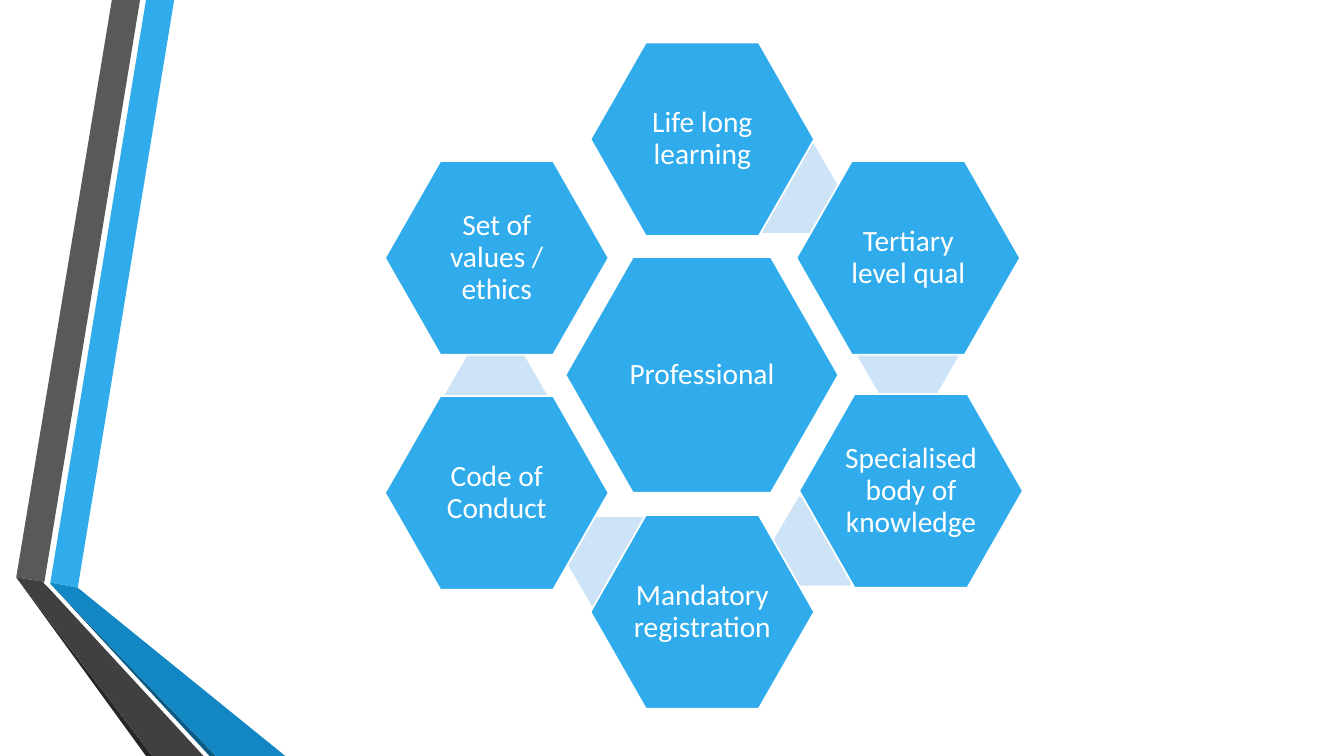
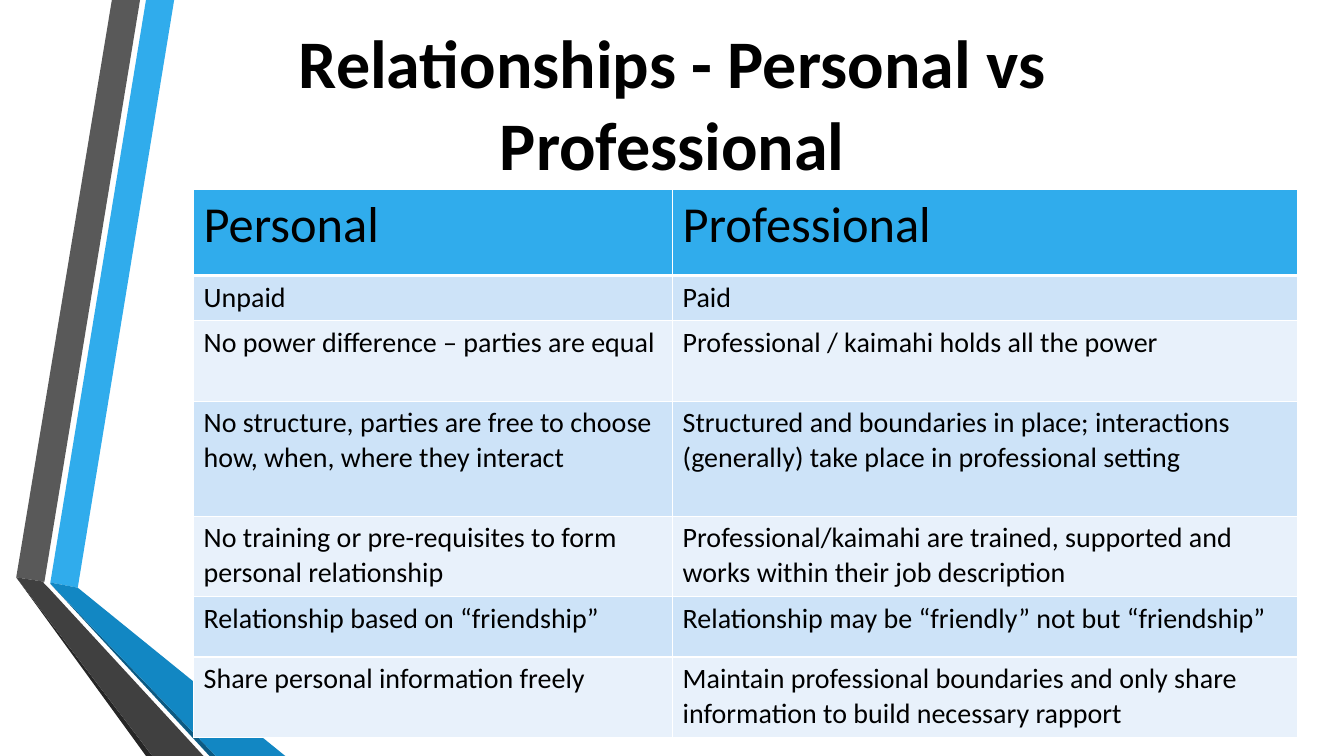
from dataclasses import dataclass

from lxml import etree
from pptx import Presentation
from pptx import util as u
from pptx.dml.color import RGBColor
from pptx.enum import shapes, text
from pptx.oxml import ns


@dataclass(frozen=True)
class Theme:
    """Colours, font and type sizes of the deck."""

    font: str = "Calibri"
    blue: str = "30ACEC"
    blue_dark: str = "1287C3"
    blue_deep: str = "0C5A82"
    grey: str = "595959"
    grey_dark: str = "404040"
    grey_deep: str = "262626"
    pale: str = "CDE3F8"
    paler: str = "E8F1FB"
    white: str = "FFFFFF"
    black: str = "000000"
    title_size: float = 48.6
    header_size: float = 36
    hexagon_size: float = 21
    cell_size: float = 20


THEME = Theme()

RIBBONS = (
    (THEME.blue, ((1.27, 14.68), (1.96, 14.81), (4.39, 0), (3.68, 0))),
    (THEME.grey, ((3.53, 0), (2.82, 0), (0.41, 14.55), (1.12, 14.66))),
    (THEME.grey_deep, ((0.41, 14.55), (3.68, 19.05), (3.84, 19.05))),
    (THEME.blue_deep, ((1.27, 14.71), (5.28, 19.05), (5.44, 19.05))),
    (THEME.blue_dark, ((1.27, 14.71), (5.44, 19.05), (7.19, 19.05),
                       (1.96, 14.81), (1.27, 14.68))),
    (THEME.grey_dark, ((5.13, 19.05), (1.22, 14.81), (1.09, 14.68),
                       (1.12, 14.66), (0.41, 14.55), (3.84, 19.05))),
)

CORE_SIZE = (6.88, 5.94)
TRAIT_SIZE = (5.64, 4.88)
LINK_SIZE = (2.59, 2.24)

TRAITS = (
    ("Life long learning", (14.88, 1.07), (18.57, 3.63)),
    ("Tertiary level qual", (20.07, 4.06), (21.59, 7.82)),
    ("Specialised body of knowledge", (20.14, 9.93), (19.48, 12.52)),
    ("Mandatory registration", (14.88, 12.98), (14.27, 13.03)),
    ("Code of Conduct", (9.7, 9.98), (11.2, 8.84)),
    ("Set of values / ethics", (9.7, 4.06), None),
)

COLUMN_WIDTHS = (12.07, 15.75)
ROW_HEIGHTS = (2.16, 1.14, 2.03, 2.9, 2.03, 1.52, 2.03)

COMPARISON = (
    ("Personal", "Professional"),
    ("Unpaid", "Paid"),
    ("No power difference – parties are equal",
     "Professional / kaimahi holds all the power"),
    ("No structure, parties are free to choose how, when, where they interact",
     "Structured and boundaries in place; interactions (generally) take place "
     "in professional setting"),
    ("No training or pre-requisites to form personal relationship",
     "Professional/kaimahi are trained, supported and works within their job "
     "description"),
    ("Relationship based on “friendship”",
     "Relationship may be “friendly” not but “friendship”"),
    ("Share personal information freely",
     "Maintain professional boundaries and only share information to build "
     "necessary rapport"),
)


def paint(target, colour):
    """Give a shape or cell a solid fill."""
    target.fill.solid()
    target.fill.fore_color.rgb = RGBColor.from_string(colour)


def write(frame, words, size, colour, bold=False, align=None, spacing=None):
    """Write one paragraph of styled text into a frame."""
    frame.word_wrap = True
    para = frame.paragraphs[0]
    para.alignment = align
    para.line_spacing = spacing
    span = para.add_run()
    span.text = words
    span.font.name = THEME.font
    span.font.size = u.Pt(size)
    span.font.bold = bold
    span.font.color.rgb = RGBColor.from_string(colour)


def add_ribbons(page):
    """Draw the folded ribbons shared by every page."""
    for colour, corners in RIBBONS:
        points = [(u.Cm(x), u.Cm(y)) for x, y in corners]
        builder = page.shapes.build_freeform(*points[0])
        builder.add_line_segments(points[1:], close=True)
        ribbon = builder.convert_to_shape()
        ribbon.shadow.inherit = False
        paint(ribbon, colour)
        ribbon.line.fill.background()


def add_page(deck):
    """Add a blank page with its ribbons."""
    page = deck.slides.add_slide(deck.slide_layouts[6])
    add_ribbons(page)
    return page


def add_hexagon(page, place, size, colour, slant):
    """Draw a plain hexagon without an outline."""
    lengths = [u.Cm(value) for value in (*place, *size)]
    hexagon = page.shapes.add_shape(shapes.MSO_SHAPE.HEXAGON, *lengths)
    hexagon.adjustments[0] = slant
    hexagon.adjustments[1] = 1.155
    hexagon.shadow.inherit = False
    paint(hexagon, colour)
    hexagon.line.fill.background()
    return hexagon


def add_label_hexagon(page, words, place, size):
    """Draw a blue hexagon that holds centred words."""
    hexagon = add_hexagon(page, place, size, THEME.blue, 0.286)
    hexagon.line.color.rgb = RGBColor.from_string(THEME.white)
    hexagon.line.width = u.Pt(1.25)
    frame = hexagon.text_frame
    frame.margin_left = frame.margin_right = u.Cm(0.07)
    frame.margin_top = frame.margin_bottom = u.Cm(0.07)
    frame.vertical_anchor = text.MSO_ANCHOR.MIDDLE
    write(frame, words, THEME.hexagon_size, THEME.white,
          align=text.PP_ALIGN.CENTER, spacing=0.9)


def add_title(page, words):
    """Add the bold centred page title."""
    box = page.shapes.add_textbox(u.Cm(3.99), u.Cm(0.79), u.Cm(25.91), u.Cm(3.58))
    box.text_frame.vertical_anchor = text.MSO_ANCHOR.MIDDLE
    write(box.text_frame, words, THEME.title_size, THEME.black,
          bold=True, align=text.PP_ALIGN.CENTER)


def set_borders(cell, top, bottom):
    """Draw white cell borders with the given top and bottom widths."""
    properties = cell._tc.get_or_add_tcPr()
    for side, width in (("L", 1), ("R", 1), ("T", top), ("B", bottom)):
        edge = etree.SubElement(properties, ns.qn(f"a:ln{side}"), w=str(u.Pt(width)))
        fill = etree.SubElement(edge, ns.qn("a:solidFill"))
        etree.SubElement(fill, ns.qn("a:srgbClr"), val=THEME.white)


def add_comparison(page, rows):
    """Add the two-column table with a header and banded rows."""
    frame = page.shapes.add_table(
        len(rows), len(COLUMN_WIDTHS), u.Cm(4.88), u.Cm(4.78),
        u.Cm(sum(COLUMN_WIDTHS)), u.Cm(sum(ROW_HEIGHTS)))
    table = frame.table
    for column, width in zip(table.columns, COLUMN_WIDTHS):
        column.width = u.Cm(width)
    for row, height in zip(table.rows, ROW_HEIGHTS):
        row.height = u.Cm(height)
    for index, row in enumerate(rows):
        header = index == 0
        band = THEME.pale if index % 2 else THEME.paler
        for column, words in enumerate(row):
            cell = table.cell(index, column)
            set_borders(cell, 3 if index == 1 else 1, 3 if header else 1)
            paint(cell, THEME.blue if header else band)
            size = THEME.header_size if header else THEME.cell_size
            write(cell.text_frame, words, size, THEME.black)


def add_professional_page(deck):
    """Build the ring of traits around the professional."""
    page = add_page(deck)
    add_label_hexagon(page, "Professional", (14.25, 6.48), CORE_SIZE)
    for words, place, link_place in TRAITS:
        if link_place:
            add_hexagon(page, link_place, LINK_SIZE, THEME.pale, 0.289)
        add_label_hexagon(page, words, place, TRAIT_SIZE)


def add_relationships_page(deck):
    """Build the comparison of relationships."""
    page = add_page(deck)
    add_title(page, "Relationships - Personal vs Professional")
    add_comparison(page, COMPARISON)


def main():
    """Build and save the deck."""
    deck = Presentation()
    deck.slide_width = u.Cm(33.87)
    deck.slide_height = u.Cm(19.05)
    add_professional_page(deck)
    add_relationships_page(deck)
    deck.save("out.pptx")


if __name__ == "__main__":
    main()
